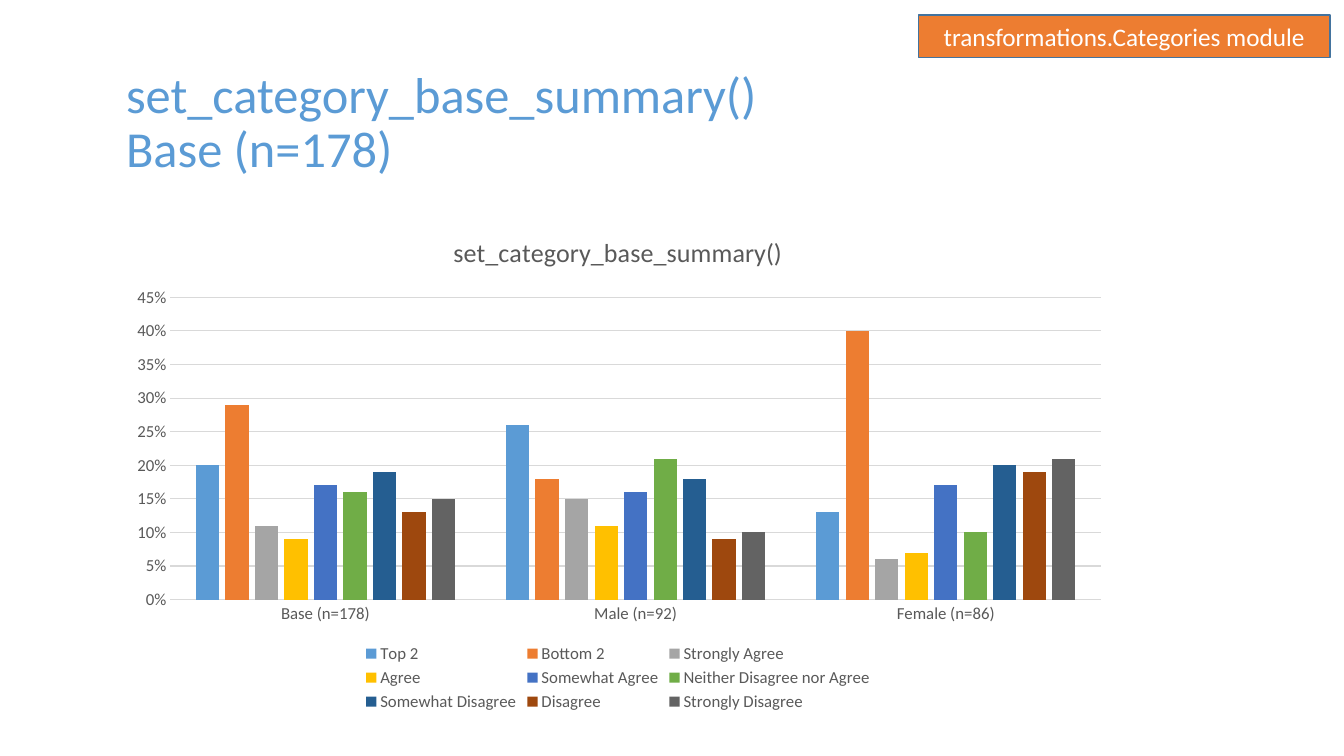
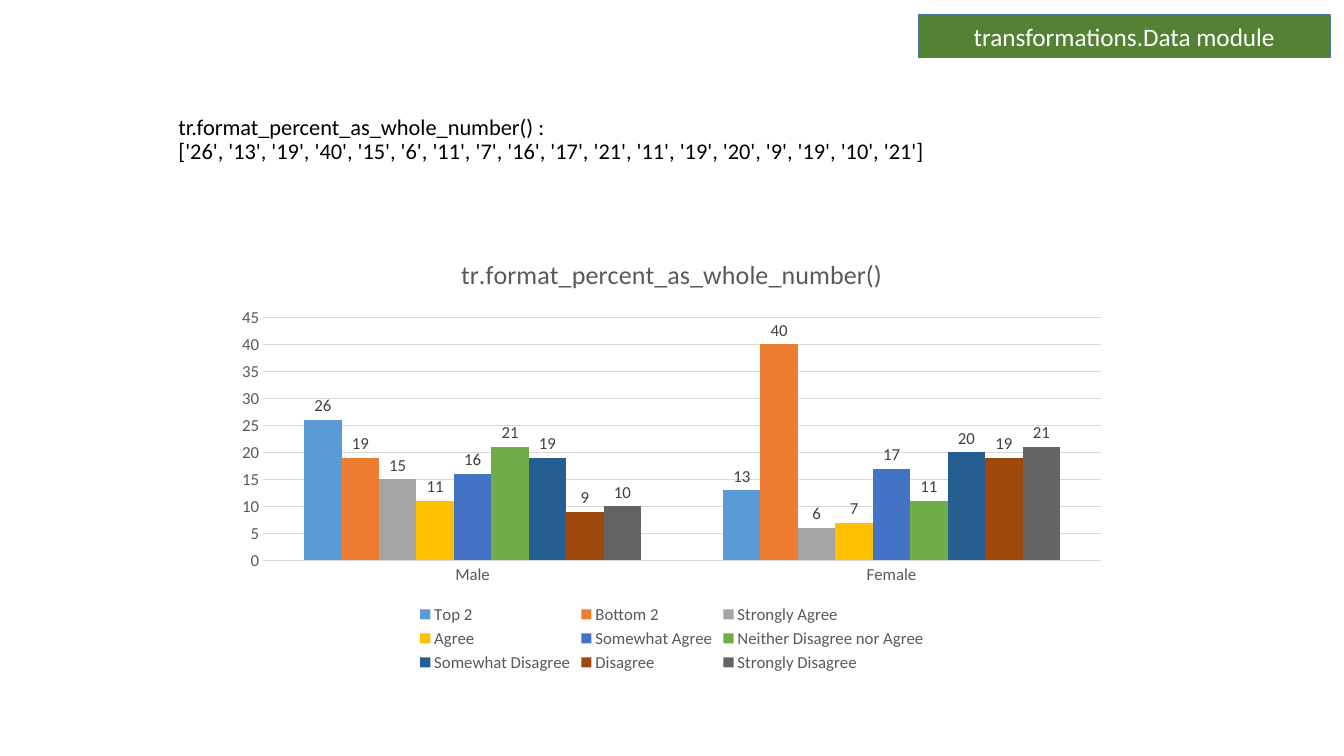
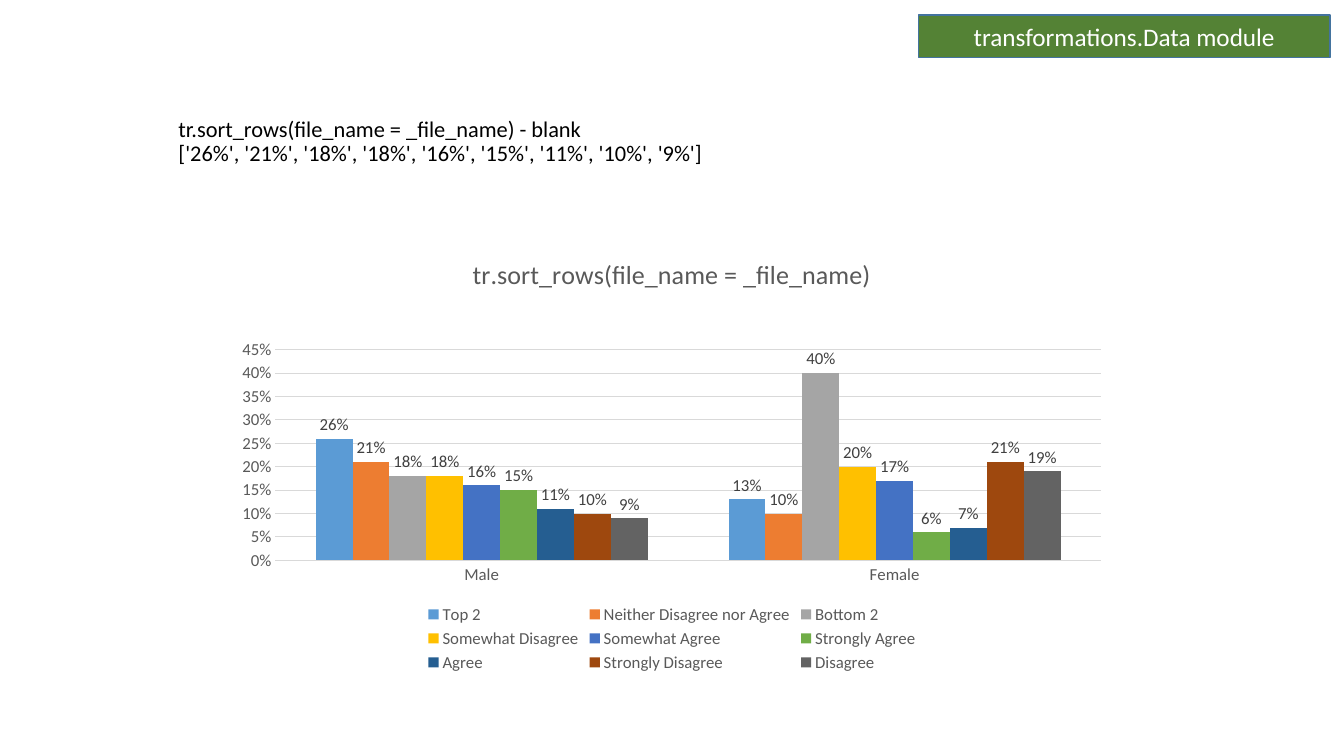
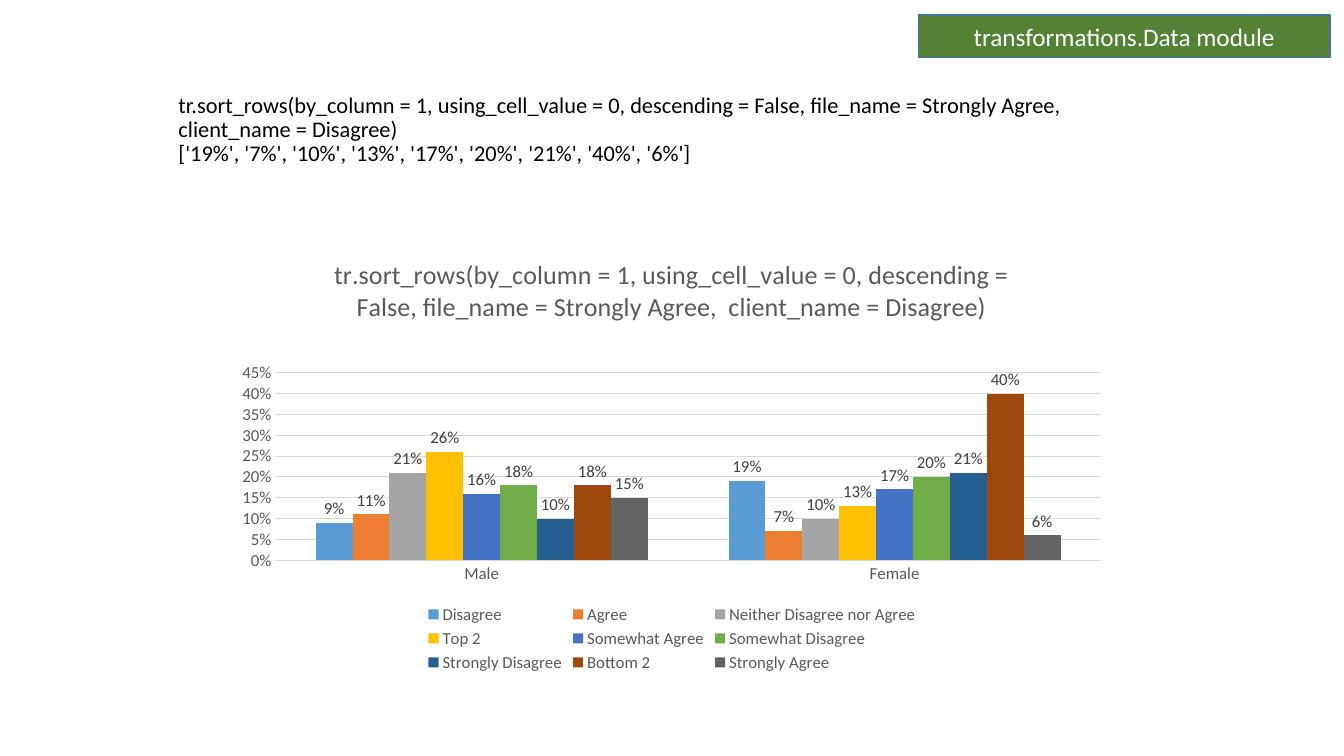
import copy

import lxml.etree
import pptx
import pptx.chart.data
import pptx.dml.color
import pptx.enum.chart
import pptx.enum.shapes
import pptx.enum.text
import pptx.oxml.ns
import pptx.util

Inches = pptx.util.Inches
Pt = pptx.util.Pt
RGBColor = pptx.dml.color.RGBColor
ALIGN = pptx.enum.text.PP_ALIGN
ANCHOR = pptx.enum.text.MSO_ANCHOR
qn = pptx.oxml.ns.qn

# Shared style
FONT = "Calibri"
BLACK = RGBColor(0x00, 0x00, 0x00)
WHITE = RGBColor(0xFF, 0xFF, 0xFF)
BLUE = RGBColor(0x5B, 0x9B, 0xD5)
ORANGE = RGBColor(0xED, 0x7D, 0x31)
GREEN = RGBColor(0x54, 0x82, 0x35)
OUTLINE = RGBColor(0x43, 0x73, 0x9E)
GRID = RGBColor(0xD9, 0xD9, 0xD9)
CHART_TEXT = RGBColor(0x59, 0x59, 0x59)
LABEL_TEXT = RGBColor(0x40, 0x40, 0x40)
SERIES_COLORS = [
    BLUE, ORANGE, RGBColor(0xA5, 0xA5, 0xA5),
    RGBColor(0xFF, 0xC0, 0x00), RGBColor(0x44, 0x72, 0xC4), RGBColor(0x70, 0xAD, 0x47),
    RGBColor(0x25, 0x5E, 0x91), RGBColor(0x9E, 0x48, 0x0E), RGBColor(0x63, 0x63, 0x63),
]

# Boxes: left, top, width, height in inches
BADGE_BOX = (9.11, 0.15, 4.08, 0.42)
CODE_BOX = (1.67, 0.94, 10, 0.76)
CHART_BOX = (2.22, 2.35, 8.89, 4.36)
PLOT_RIGHT_MARGIN = 0.19
PLOT_BOTTOM_MARGIN = 1.15

# Share of each answer: base, male, female
SHARES = {
    "Top 2": (0.2, 0.26, 0.13),
    "Bottom 2": (0.29, 0.18, 0.4),
    "Strongly Agree": (0.11, 0.15, 0.06),
    "Agree": (0.09, 0.11, 0.07),
    "Somewhat Agree": (0.17, 0.16, 0.17),
    "Neither Disagree nor Agree": (0.16, 0.21, 0.1),
    "Somewhat Disagree": (0.19, 0.18, 0.2),
    "Disagree": (0.13, 0.09, 0.19),
    "Strongly Disagree": (0.15, 0.1, 0.21),
}
WHOLE_NUMBERS = dict(zip(SHARES, [
    (26, 13), (19, 40), (15, 6), (11, 7), (16, 17), (21, 11), (19, 20), (9, 19), (10, 21),
]))
DESCENDING_ORDER = [
    "Top 2", "Neither Disagree nor Agree", "Bottom 2", "Somewhat Disagree", "Somewhat Agree",
    "Strongly Agree", "Agree", "Strongly Disagree", "Disagree",
]
ASCENDING_ORDER = [
    "Disagree", "Agree", "Neither Disagree nor Agree", "Top 2", "Somewhat Agree",
    "Somewhat Disagree", "Strongly Disagree", "Bottom 2", "Strongly Agree",
]
SORT_CALL = ("tr.sort_rows(by_column = 1, using_cell_value = 0, descending = False, "
             "file_name = Strongly Agree,  client_name = Disagree)")


def format_font(font, size, color):
    font.name = FONT
    font.size = Pt(size)
    font.bold = False
    font.color.rgb = color


def write_text(text_frame, text, size=16, color=BLACK, align=ALIGN.LEFT,
               anchor=ANCHOR.MIDDLE, line_spacing=None):
    """Fill a frame with one paragraph; newlines become line breaks."""
    text_frame.word_wrap = True
    text_frame.auto_size = pptx.enum.text.MSO_AUTO_SIZE.NONE
    text_frame.vertical_anchor = anchor
    paragraph = text_frame.paragraphs[0]
    paragraph.text = text
    paragraph.alignment = align
    paragraph.line_spacing = line_spacing
    for run in paragraph.runs:
        format_font(run.font, size, color)
    # Line breaks take the same size as the text
    run_format = paragraph.runs[0].font._element
    for line_break in paragraph._p.findall(qn("a:br")):
        line_break.insert(0, copy.deepcopy(run_format))


def add_title(slide, box, text, size=16, color=BLACK):
    title = slide.shapes.title
    title.left, title.top, title.width, title.height = map(Inches, box)
    write_text(title.text_frame, text, size=size, color=color,
               anchor=ANCHOR.BOTTOM, line_spacing=0.9)


def add_badge(slide, box, text, fill):
    badge = slide.shapes.add_shape(
        pptx.enum.shapes.MSO_SHAPE.RECTANGLE, *map(Inches, box))
    badge.shadow.inherit = False
    badge.fill.solid()
    badge.fill.fore_color.rgb = fill
    badge.line.color.rgb = OUTLINE
    badge.line.width = Pt(1)
    write_text(badge.text_frame, text, size=18, color=WHITE, align=ALIGN.CENTER)


def set_plot_area(chart, box, left, top):
    """Place the inner plot area, given in inches from the chart's corner."""
    width, height = box[2:]
    fractions = {
        "x": left / width,
        "y": top / height,
        "w": (width - left - PLOT_RIGHT_MARGIN) / width,
        "h": (height - top - PLOT_BOTTOM_MARGIN) / height,
    }
    plot_area = chart._chartSpace.chart.plotArea
    for old_layout in plot_area.findall(qn("c:layout")):
        plot_area.remove(old_layout)
    layout = lxml.etree.Element(qn("c:layout"))
    manual = lxml.etree.SubElement(layout, qn("c:manualLayout"))
    settings = [("layoutTarget", "inner"), ("xMode", "edge"), ("yMode", "edge")]
    settings += [(key, f"{value:.4f}") for key, value in fractions.items()]
    for tag, value in settings:
        lxml.etree.SubElement(manual, qn("c:" + tag)).set("val", value)
    plot_area.insert(0, layout)


def format_axes(chart, number_format, maximum):
    category_axis, value_axis = chart.category_axis, chart.value_axis
    for axis in (category_axis, value_axis):
        axis.major_tick_mark = axis.minor_tick_mark = pptx.enum.chart.XL_TICK_MARK.NONE
        format_font(axis.tick_labels.font, 12, CHART_TEXT)
    value_axis.format.line.fill.background()
    value_axis.minimum_scale = 0
    value_axis.maximum_scale = maximum
    value_axis.major_unit = maximum / 9
    value_axis.tick_labels.number_format = number_format
    value_axis.tick_labels.number_format_is_linked = False
    value_axis.has_major_gridlines = True
    for line in (category_axis.format.line, value_axis.major_gridlines.format.line):
        line.color.rgb = GRID
        line.width = Pt(0.75)


def add_column_chart(slide, box, title, categories, answers, plot_corner,
                     number_format="0%", maximum=0.45, overlap=0, labels=True):
    data = pptx.chart.data.CategoryChartData(number_format=number_format)
    data.categories = categories
    for name, values in answers.items():
        data.add_series(name, values)
    chart = slide.shapes.add_chart(
        pptx.enum.chart.XL_CHART_TYPE.COLUMN_CLUSTERED, *map(Inches, box), data).chart
    format_font(chart.font, 10, BLACK)

    # Title and legend
    chart.has_title = True
    title_paragraph = chart.chart_title.text_frame.paragraphs[0]
    title_paragraph.text = title
    format_font(title_paragraph.runs[0].font, 18.6, CHART_TEXT)
    chart.chart_title.include_in_layout = False
    chart.has_legend = True
    chart.legend.position = pptx.enum.chart.XL_LEGEND_POSITION.BOTTOM
    chart.legend.include_in_layout = False
    format_font(chart.legend.font, 12, CHART_TEXT)

    # Axes and columns
    format_axes(chart, number_format, maximum)
    set_plot_area(chart, box, *plot_corner)
    plot = chart.plots[0]
    plot.vary_by_categories = False
    plot.gap_width = 219
    plot.overlap = overlap
    for series, color in zip(plot.series, SERIES_COLORS):
        series.format.fill.solid()
        series.format.fill.fore_color.rgb = color
        series.invert_if_negative = False
        if labels:
            data_labels = series.data_labels
            data_labels.show_value = True
            data_labels.position = pptx.enum.chart.XL_LABEL_POSITION.OUTSIDE_END
            data_labels.number_format = number_format
            data_labels.number_format_is_linked = False
            format_font(data_labels.font, 12, LABEL_TEXT)


def add_slide(presentation):
    return presentation.slides.add_slide(presentation.slide_layouts.get_by_name("Title Only"))


def build_category_slide(presentation):
    slide = add_slide(presentation)
    add_title(slide, (1.15, 0.87, 10.26, 0.95),
              "set_category_base_summary()\nBase (n=178)", size=36, color=BLUE)
    add_column_chart(slide, (1.15, 2.12, 9.96, 4.98), "set_category_base_summary()",
                     ["Base (n=178)", "Male (n=92)", "Female (n=86)"], SHARES,
                     plot_corner=(0.54, 0.83), overlap=-27, labels=False)
    add_badge(slide, BADGE_BOX, "transformations.Categories module", ORANGE)


def build_data_slide(presentation, code, chart_title, answers, plot_corner,
                     code_box=CODE_BOX, **chart_format):
    slide = add_slide(presentation)
    add_title(slide, code_box, code)
    add_badge(slide, BADGE_BOX, "transformations.Data module", GREEN)
    add_column_chart(slide, CHART_BOX, chart_title, ["Male", "Female"], answers,
                     plot_corner, **chart_format)


def shares_by_gender(order):
    return {name: SHARES[name][1:] for name in order}


def main():
    presentation = pptx.Presentation()
    presentation.slide_width = Inches(13.33)
    presentation.slide_height = Inches(7.5)

    build_category_slide(presentation)
    build_data_slide(
        presentation,
        "tr.format_percent_as_whole_number() :\n"
        "['26', '13', '19', '40', '15', '6', '11', '7', '16', '17', '21', '11', "
        "'19', '20', '9', '19', '10', '21']",
        "tr.format_percent_as_whole_number()", WHOLE_NUMBERS, (0.39, 0.8),
        code_box=(1.67, 0.94, 10, 0.74), number_format="0", maximum=45)
    build_data_slide(
        presentation,
        "tr.sort_rows(file_name = _file_name) - blank\n"
        "['26%', '21%', '18%', '18%', '16%', '15%', '11%', '10%', '9%']",
        "tr.sort_rows(file_name = _file_name)",
        shares_by_gender(DESCENDING_ORDER), (0.51, 1.12))
    build_data_slide(
        presentation,
        SORT_CALL + "\n['19%', '7%', '10%', '13%', '17%', '20%', '21%', '40%', '6%']",
        SORT_CALL, shares_by_gender(ASCENDING_ORDER), (0.51, 1.35))

    presentation.save("out.pptx")


if __name__ == "__main__":
    main()
